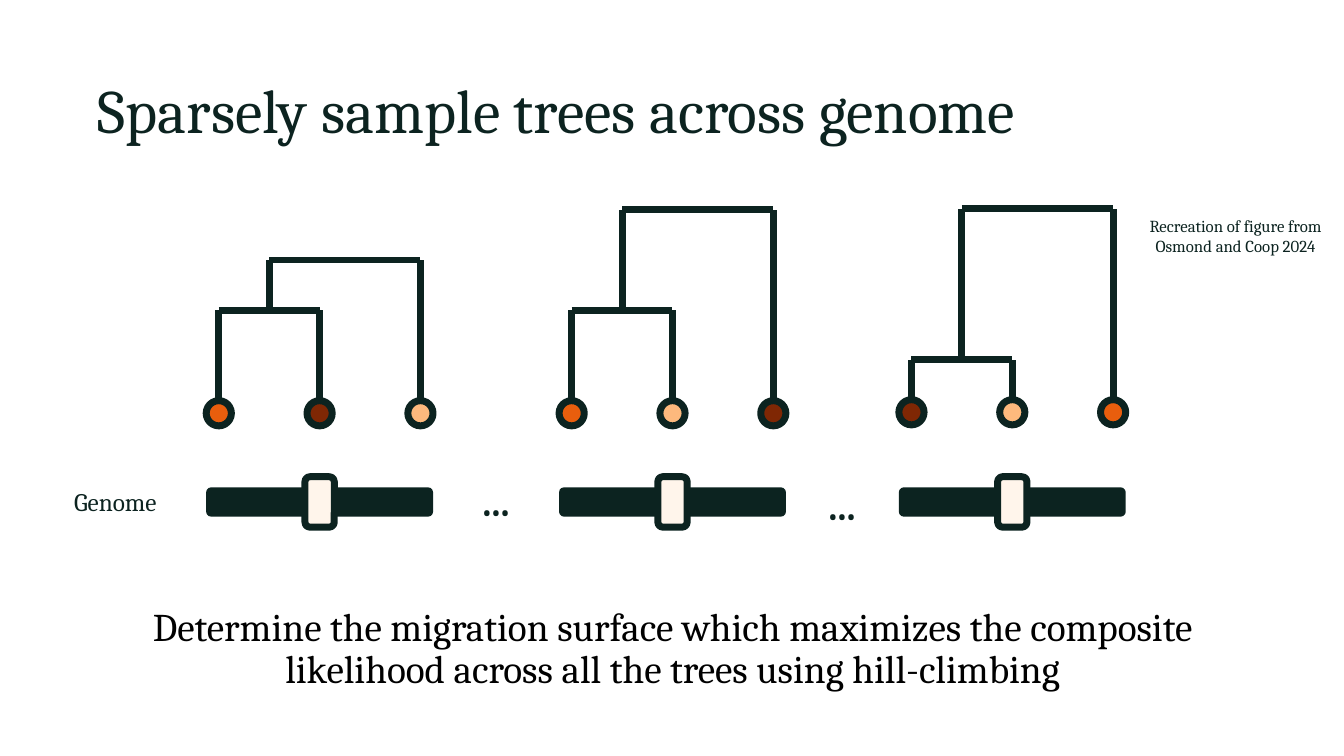
from lxml import etree
from pptx import Presentation
from pptx import util as u
from pptx.dml.color import RGBColor
from pptx.enum import shapes, text
from pptx.oxml import ns

COLORS = {
    "ink": "0C2320",
    "black": "000000",
    "orange": "E95E0D",
    "brown": "7F2704",
    "peach": "FDB97D",
    "cream": "FFF5EB",
}
FONT = "Cambria"
STROKE = 5
TIP_SIZE = 0.25
GENOME_ROW = 4.98
BAR_THICKNESS = 0.29
BODY_LEFT, BODY_WIDTH = 0.92, 11.5

# left, base, inner split height, root height, tip colours
TREES = [
    (2.17, 4.08, 1, 1.5, ("orange", "brown", "peach")),
    (5.67, 4.08, 1, 2, ("orange", "peach", "brown")),
    (9.04, 4.07, 0.5, 2, ("brown", "peach", "orange")),
]


def rgb(name):
    """Return the named colour."""
    return RGBColor.from_string(COLORS[name])


def add_text(slide, words, left, top, width, height, size=18, color="ink", bold=False,
             align=text.PP_ALIGN.CENTER, anchor=text.MSO_ANCHOR.TOP, wrap=True,
             spacing=None, before=0):
    """Add one paragraph of formatted text."""
    box = slide.shapes.add_textbox(*map(u.Inches, (left, top, width, height)))
    frame = box.text_frame
    frame.word_wrap = wrap
    frame.vertical_anchor = anchor
    frame.margin_left = frame.margin_right = u.Inches(0.05)
    frame.margin_top = frame.margin_bottom = u.Inches(0.05)
    paragraph = frame.paragraphs[0]
    paragraph.alignment = align
    paragraph.line_spacing = spacing
    paragraph.space_before = u.Pt(before)
    run = paragraph.add_run()
    run.text = words
    run.font.name, run.font.size, run.font.bold = FONT, u.Pt(size), bold
    run.font.color.rgb = rgb(color)


def add_centred(slide, kind, x, y, width, height, fill, outlined=True):
    """Add a filled shape centred on a point."""
    shape = slide.shapes.add_shape(
        kind, *map(u.Inches, (x - width / 2, y - height / 2, width, height)))
    shape.shadow.inherit = False
    shape.fill.solid()
    shape.fill.fore_color.rgb = rgb(fill)
    if outlined:
        shape.line.color.rgb = rgb("ink")
        shape.line.width = u.Pt(STROKE)
    else:
        shape.line.fill.background()
    return shape


def add_branch(slide, x1, y1, x2, y2, width=STROKE):
    """Add a straight tree branch."""
    branch = slide.shapes.add_connector(
        shapes.MSO_CONNECTOR.STRAIGHT, *map(u.Inches, (x1, y1, x2, y2)))
    branch.line.color.rgb = rgb("ink")
    branch.line.width = u.Pt(width)
    etree.SubElement(branch._element.spPr, ns.qn("a:effectLst"))


def add_tree(slide, left, base, split_height, root_height, tips):
    """Add a three-tip tree with its coloured tips."""
    split, root = base - split_height, base - root_height
    for column, top in ((0, split), (1, split), (3 / 2 - 1 / 2 + 1, root)):
        add_branch(slide, left + column, base, left + column, top)
    add_branch(slide, left + 0.5, split, left + 0.5, root)
    add_branch(slide, left, split, left + 1, split)
    add_branch(slide, left + 0.5, root, left + 2, root, width=4.75)
    for column, tip in enumerate(tips):
        add_centred(slide, shapes.MSO_SHAPE.OVAL, left + column, base + 0.02,
                    TIP_SIZE, TIP_SIZE, tip)


def add_genome_segment(slide, centre):
    """Add a genome bar with the sampled site marked."""
    add_centred(slide, shapes.MSO_SHAPE.ROUNDED_RECTANGLE, centre, GENOME_ROW,
                2 + TIP_SIZE, BAR_THICKNESS, "ink", outlined=False)
    site = add_centred(slide, shapes.MSO_SHAPE.ROUNDED_RECTANGLE, centre, GENOME_ROW,
                       0.5, BAR_THICKNESS, "cream")
    site.rotation = 90


def main():
    """Build and save the slide."""
    deck = Presentation()
    deck.slide_width, deck.slide_height = u.Inches(13.33), u.Inches(7.5)
    slide = deck.slides.add_slide(deck.slide_layouts[6])

    add_text(slide, "Sparsely sample trees across genome", BODY_LEFT, 0.4, BODY_WIDTH, 1.45,
             size=44, align=text.PP_ALIGN.LEFT, anchor=text.MSO_ANCHOR.MIDDLE, spacing=0.9)
    for left, base, split_height, root_height, tips in TREES:
        add_tree(slide, left, base, split_height, root_height, tips)
        add_genome_segment(slide, left + 1)
    for left, top in ((4.68, 4.69), (8.11, 4.73)):
        add_text(slide, "…", left, top, 0.48, 0.54, size=28, bold=True, wrap=False)
    add_text(slide, "Recreation of figure from Osmond and Coop 2024",
             11.09, 2.09, 2.33, 0.49, size=12)
    add_text(slide, "Genome", -0.02, 4.78, 2.33, 0.39)
    add_text(slide, "Determine the migration surface which maximizes the composite "
             "likelihood across all the trees using hill-climbing",
             BODY_LEFT, 5.98, BODY_WIDTH, 1.07, size=28, color="black",
             spacing=0.9, before=10)
    deck.save("out.pptx")


if __name__ == "__main__":
    main()
